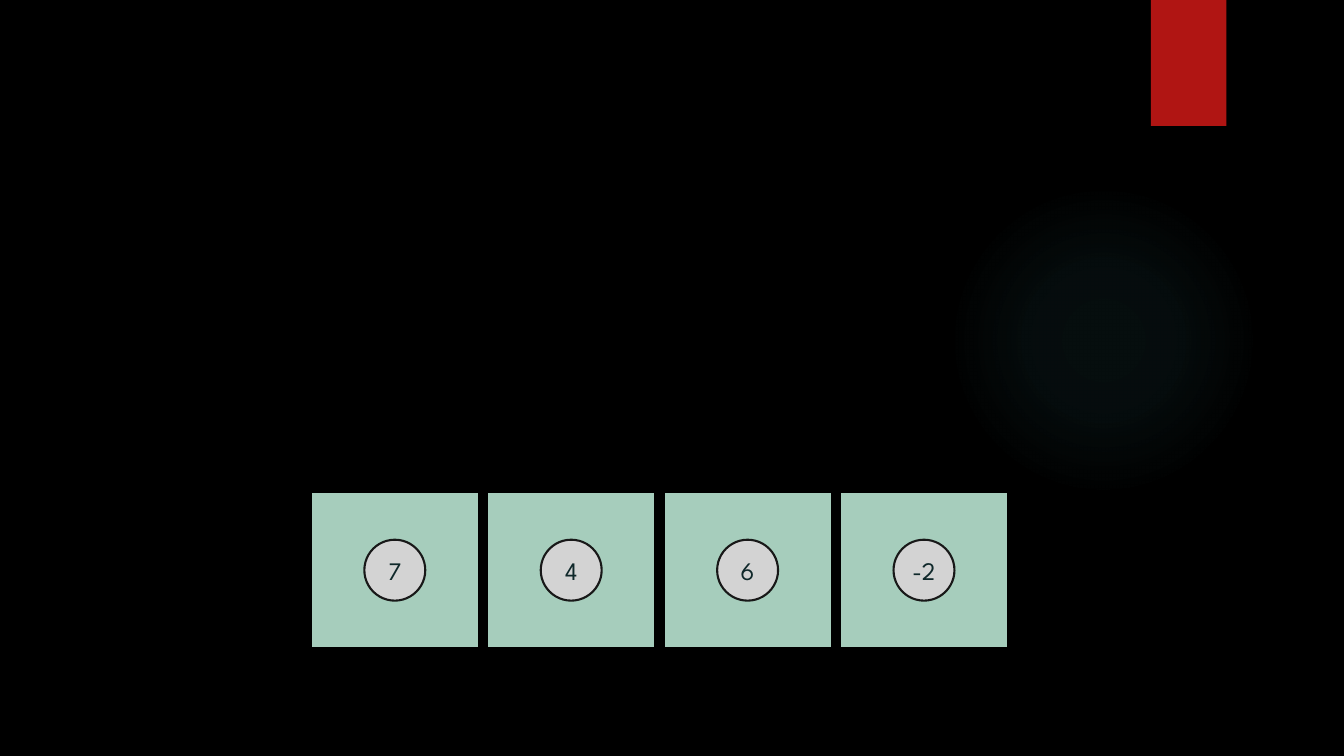
from pptx import Presentation
from pptx.dml.color import RGBColor
from pptx.enum.shapes import MSO_SHAPE
from pptx.enum.text import MSO_ANCHOR, PP_ALIGN
from pptx.oxml import parse_xml
from pptx.oxml.ns import nsdecls, qn
from pptx.util import Emu, Pt

EMU_PER_PX = 9525
COLORS = {
    "background": "000000",
    "glow": "50B9C1",
    "ribbon": "B01513",
    "tile": "A6CDBC",
    "tile_border": "000000",
    "disc": "D3D3D3",
    "disc_border": "181818",
    "number": "0F282A",
}
FONT = "League Spartan"
NUMBERS = ["7", "4", "6", "-2"]
GLOW_STOPS = [(0, 7), (36, 6), (69, 0)]

TILE_LEFT, TILE_TOP = 296, 469
TILE_WIDTH, TILE_HEIGHT = 160, 148
TILE_PITCH = 168
DISC_SIZE = 58


def px(length):
    return Emu(length * EMU_PER_PX)


def color(name):
    return RGBColor.from_string(COLORS[name])


def add_figure(slide, kind, box, fill, border=None):
    """Add a flat preset shape; box is left, top, width, height in px."""
    figure = slide.shapes.add_shape(kind, *map(px, box))
    figure.shadow.inherit = False
    figure.fill.solid()
    figure.fill.fore_color.rgb = color(fill)
    if border:
        figure.line.color.rgb = color(border)
        figure.line.width = Pt(1.5)
    else:
        figure.line.fill.background()
    return figure


def add_glow(slide, box):
    """Add a circle that fades out from its centre."""
    glow = add_figure(slide, MSO_SHAPE.OVAL, box, "glow")
    stops = "".join(
        f'<a:gs pos="{position * 1000}"><a:srgbClr val="{COLORS["glow"]}">'
        f'<a:alpha val="{opacity * 1000}"/></a:srgbClr></a:gs>'
        for position, opacity in GLOW_STOPS
    )
    gradient = parse_xml(
        f'<a:gradFill {nsdecls("a")}><a:gsLst>{stops}</a:gsLst>'
        '<a:path path="circle"><a:fillToRect l="50000" t="50000" '
        'r="50000" b="50000"/></a:path></a:gradFill>'
    )
    properties = glow.element.spPr
    properties.replace(properties.find(qn("a:solidFill")), gradient)


def add_tile(slide, left):
    add_figure(slide, MSO_SHAPE.RECTANGLE,
               (left, TILE_TOP, TILE_WIDTH, TILE_HEIGHT), "tile", "tile_border")


def add_number_disc(slide, tile_left, number):
    """Add a numbered disc in the centre of a tile."""
    left = tile_left + (TILE_WIDTH - DISC_SIZE) // 2
    top = TILE_TOP + (TILE_HEIGHT - DISC_SIZE) // 2
    disc = add_figure(slide, MSO_SHAPE.OVAL, (left, top, DISC_SIZE, DISC_SIZE),
                      "disc", "disc_border")
    frame = disc.text_frame
    frame.word_wrap = False
    frame.vertical_anchor = MSO_ANCHOR.MIDDLE
    frame.margin_left = frame.margin_right = 0
    label = frame.paragraphs[0]
    label.text = number
    label.alignment = PP_ALIGN.CENTER
    label.font.name = FONT
    label.font.size = Pt(18)
    label.font.color.rgb = color("number")


def main():
    deck = Presentation()
    deck.slide_width, deck.slide_height = px(1280), px(720)
    slide = deck.slides.add_slide(deck.slide_layouts[6])
    slide.background.fill.solid()
    slide.background.fill.fore_color.rgb = color("background")

    add_glow(slide, (903, 176, 296, 296))
    add_figure(slide, MSO_SHAPE.RECTANGLE, (1096, 0, 72, 120), "ribbon")
    for index, number in enumerate(NUMBERS):
        tile_left = TILE_LEFT + index * TILE_PITCH
        add_tile(slide, tile_left)
        add_number_disc(slide, tile_left, number)

    deck.save("out.pptx")


if __name__ == "__main__":
    main()
